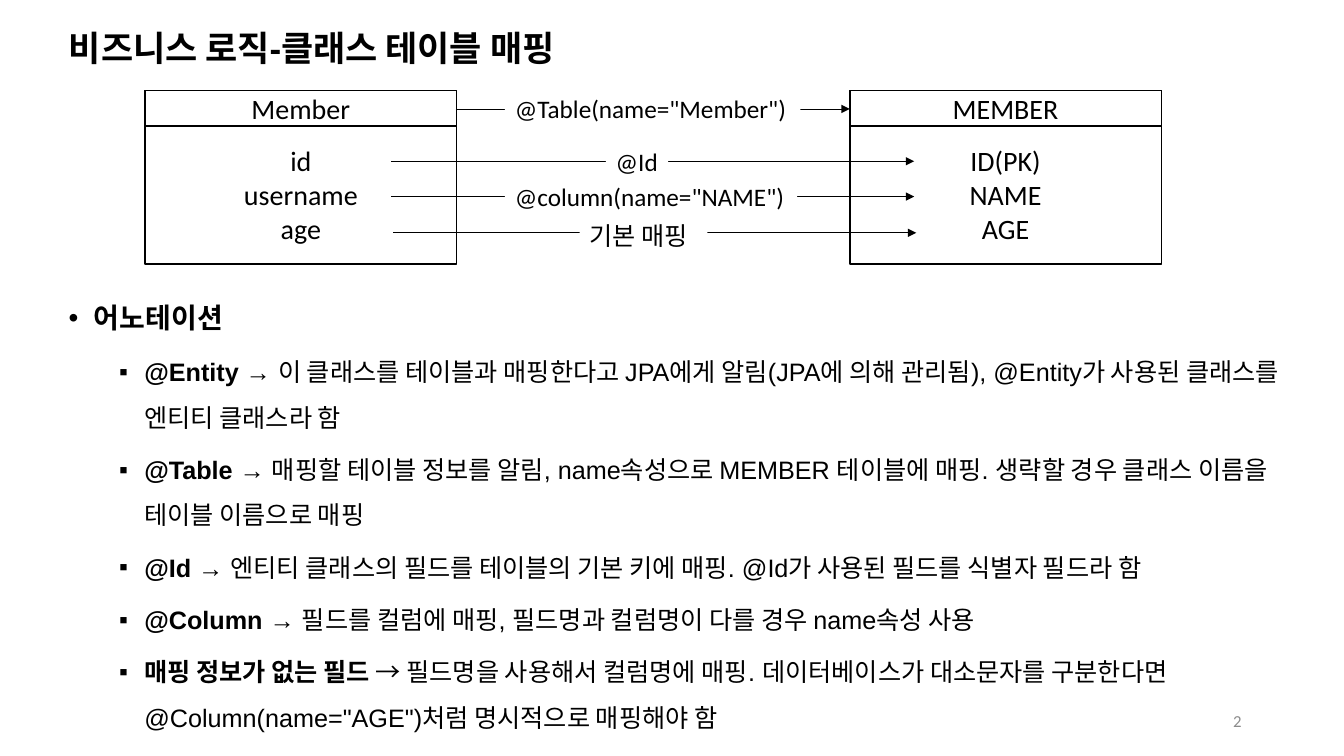
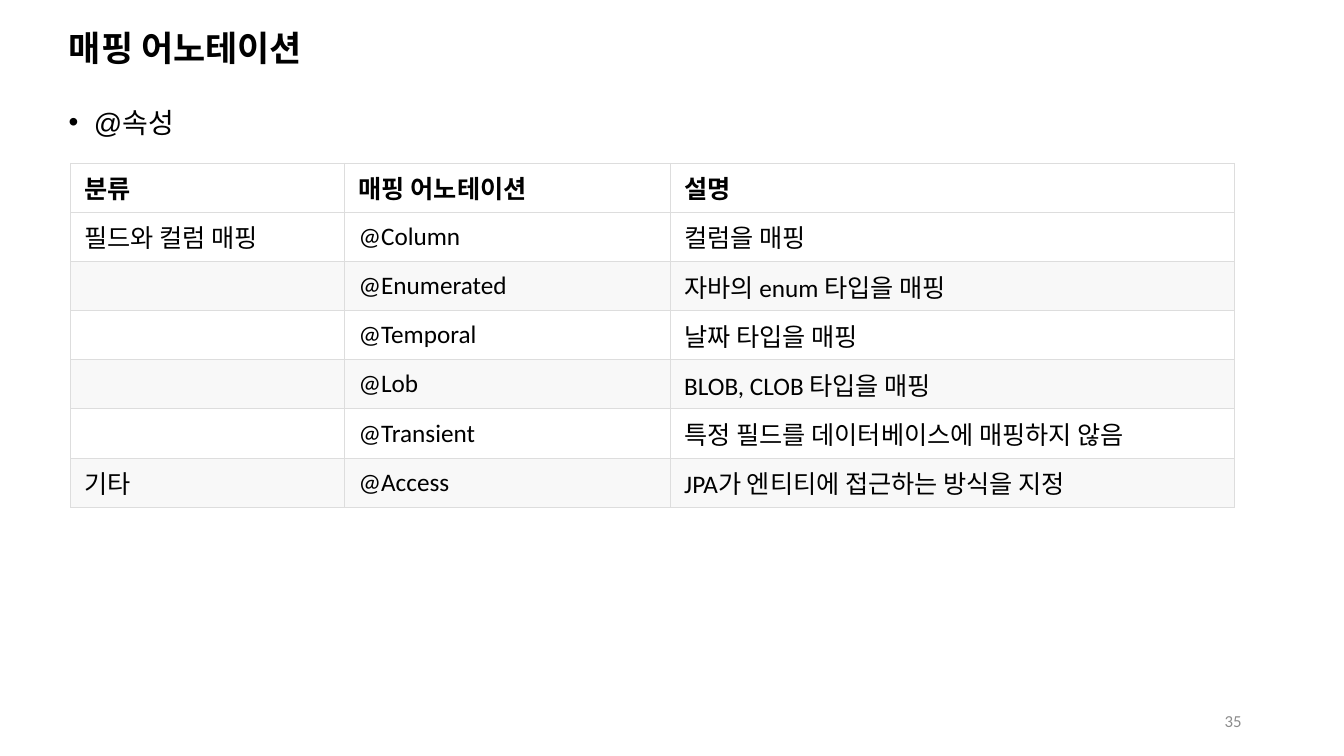
from lxml.etree import SubElement
from pptx import Presentation
from pptx.dml.color import RGBColor as RGB
from pptx.enum.shapes import MSO_CONNECTOR as LINE, MSO_SHAPE as SHAPE
from pptx.enum.text import MSO_ANCHOR as ANCHOR, MSO_AUTO_SIZE as AUTO, PP_ALIGN as ALIGN
from pptx.oxml.ns import qn
from pptx.util import Pt

HEX = {"ink": "000000", "paper": "FFFFFF", "band": "F8F8F8",
       "rule": "DDDDDD", "page": "8C8C8C"}
HEAD = {"name": "Arial", "size": Pt(25), "bold": True}
TOP = {"name": "Arial", "size": Pt(20)}
SUB = {"name": "Arial", "size": Pt(18)}
BOX = {"name": "Calibri", "size": Pt(20)}
TAG = {"name": "Calibri", "size": Pt(18)}
PAGE = {"name": "Calibri", "size": Pt(12)}

# Slide 1: class box and table box, joined by annotations
TITLE1 = "비즈니스 로직-클래스 테이블 매핑"
CARDS = [(103.7, "Member", ["id", "username", "age"]),
         (607, "MEMBER", ["ID(PK)", "NAME", "AGE"])]
# arrow start, end, y; label text, left, top, width
LINKS = [
    (325.6, 607, 77.8, '@Table(name="Member")', 360.7, 63.4, 211),
    (279.4, 653, 115.2, "@Id", 432.7, 100.8, 44.6),
    (279.4, 653, 140.4, '@column(name="NAME")', 360.7, 126, 208.8),
    (280.8, 654.5, 166.3, "기본 매핑", 414, 154.1, 91.4),
]
# level, bold text, plain text
NOTES = [
    (0, "어노테이션", ""),
    (1, "@Entity → ", "이 클래스를 테이블과 매핑한다고 JPA에게 알림(JPA에 의해 관리됨), "
     "@Entity가 사용된 클래스를 엔티티 클래스라 함"),
    (1, "@Table → ", "매핑할 테이블 정보를 알림, name속성으로 MEMBER 테이블에 매핑. "
     "생략할 경우 클래스 이름을 테이블 이름으로 매핑"),
    (1, "@Id → ", "엔티티 클래스의 필드를 테이블의 기본 키에 매핑. "
     "@Id가 사용된 필드를 식별자 필드라 함"),
    (1, "@Column → ", "필드를 컬럼에 매핑, 필드명과 컬럼명이 다를 경우 name속성 사용"),
    (1, "매핑 정보가 없는 필드", " → 필드명을 사용해서 컬럼명에 매핑. "
     "데이터베이스가 대소문자를 구분한다면 "
     '@Column(name="AGE")처럼 명시적으로 매핑해야 함'),
]

# Slide 2: table of annotations
TITLE2 = "매핑 어노테이션"
ATTRS = [(0, "", "@속성")]
ROWS = [
    ("분류", "매핑 어노테이션", "설명"),
    ("필드와 컬럼 매핑", "@Column", "컬럼을 매핑"),
    ("", "@Enumerated", "자바의 enum 타입을 매핑"),
    ("", "@Temporal", "날짜 타입을 매핑"),
    ("", "@Lob", "BLOB, CLOB 타입을 매핑"),
    ("", "@Transient", "특정 필드를 데이터베이스에 매핑하지 않음"),
    ("기타", "@Access", "JPA가 엔티티에 접근하는 방식을 지정"),
]
COLS = [195.8, 232.6, 403.2]
ROW_H = 35.1

CARD_Y, CARD_W, CARD_H, CAP_H = 64.8, 222.5, 123.8, 25.2
# marker, left margin, space before
LEVELS = [("•", 18, 10, TOP), ("▪", 54, 5, SUB)]


def put(obj, vals):
    for key, val in vals.items():
        setattr(obj, key, val)


def pts(*nums):
    return [Pt(n) for n in nums]


def paint(fill, name):
    fill.solid()
    fill.fore_color.rgb = RGB.from_string(HEX[name])


def write(para, text, font, ink="ink", **more):
    run = para.add_run()
    run.text = text
    put(run.font, {**font, **more})
    run.font.color.rgb = RGB.from_string(HEX[ink])


def start(deck, title, page):
    """Add a slide with its title and page number."""
    slide = deck.slides.add_slide(deck.slide_layouts[5])
    head = slide.shapes.title
    put(head, dict(zip(("left", "top", "width", "height"), pts(42, 13, 828, 27))))
    put(head.text_frame, {"auto_size": AUTO.NONE, "word_wrap": True,
                          "vertical_anchor": ANCHOR.MIDDLE})
    para = head.text_frame.paragraphs[0]
    put(para, {"alignment": ALIGN.LEFT, "line_spacing": 1.5})
    write(para, title, HEAD)
    foot = slide.shapes.add_textbox(*pts(678, 500.4, 216, 28.8)).text_frame
    put(foot, {"word_wrap": True, "vertical_anchor": ANCHOR.MIDDLE})
    foot.paragraphs[0].alignment = ALIGN.RIGHT
    write(foot.paragraphs[0], str(page), PAGE, "page")
    return slide


def bullets(slide, top, high, items):
    frame = slide.shapes.add_textbox(*pts(42, top, 892, high)).text_frame
    frame.word_wrap = True
    for i, (level, bold, plain) in enumerate(items):
        mark, left, gap, font = LEVELS[level]
        para = frame.paragraphs[0] if i == 0 else frame.add_paragraph()
        put(para, {"level": level, "line_spacing": 1.5,
                   "space_before": Pt(gap if i else 0)})
        prop = para._p.get_or_add_pPr()
        prop.set("marL", str(Pt(left)))
        prop.set("indent", str(-Pt(18)))
        SubElement(prop, qn("a:buFont"), typeface="Arial")
        SubElement(prop, qn("a:buChar"), char=mark)
        for text, heavy in ((bold, True), (plain, False)):
            if text:
                write(para, text, font, bold=heavy)


def card(slide, left, high, lines, inset=3.6):
    box = slide.shapes.add_shape(SHAPE.RECTANGLE, *pts(left, CARD_Y, CARD_W, high))
    box.shadow.inherit = False
    paint(box.fill, "paper")
    paint(box.line.fill, "ink")
    box.line.width = Pt(1)
    frame = box.text_frame
    put(frame, {"vertical_anchor": ANCHOR.MIDDLE, "margin_top": Pt(inset)})
    for i, text in enumerate(lines):
        para = frame.paragraphs[0] if i == 0 else frame.add_paragraph()
        para.alignment = ALIGN.CENTER
        write(para, text, BOX)


def link(slide, start_x, end_x, y, text, left, top, wide):
    """Draw an arrow with a label that covers its middle."""
    line = slide.shapes.add_connector(LINE.STRAIGHT, *pts(start_x, y, end_x, y))
    paint(line.line.fill, "ink")
    line.line.width = Pt(0.5)
    SubElement(line.line._get_or_add_ln(), qn("a:tailEnd"), type="triangle")
    SubElement(line._element.spPr, qn("a:effectLst"))
    tag = slide.shapes.add_textbox(*pts(left, top, wide, 28.8))
    paint(tag.fill, "paper")
    put(tag.text_frame, {"word_wrap": False, "auto_size": AUTO.SHAPE_TO_FIT_TEXT})
    write(tag.text_frame.paragraphs[0], text, TAG)


def border(cell):
    prop = cell._tc.get_or_add_tcPr()
    for side in ("lnL", "lnR", "lnT", "lnB"):
        edge = SubElement(prop, qn("a:" + side), w=str(Pt(0.75)))
        SubElement(SubElement(edge, qn("a:solidFill")), qn("a:srgbClr"),
                   val=HEX["rule"])


def grid(slide):
    table = slide.shapes.add_table(
        len(ROWS), len(COLS),
        *pts(50.4, 116.6, sum(COLS), ROW_H * len(ROWS))).table
    put(table, {"first_row": False, "horz_banding": False})
    for col, wide in zip(table.columns, COLS):
        col.width = Pt(wide)
    for r, row in enumerate(ROWS):
        table.rows[r].height = Pt(ROW_H)
        for c, text in enumerate(row):
            cell = table.cell(r, c)
            border(cell)
            paint(cell.fill, "band" if r and r % 2 == 0 else "paper")
            put(cell, {"vertical_anchor": ANCHOR.MIDDLE,
                       "margin_left": Pt(10), "margin_right": Pt(10),
                       "margin_top": Pt(4.3), "margin_bottom": Pt(4.3)})
            if text:
                write(cell.text_frame.paragraphs[0], text, TAG, bold=r == 0)


def main():
    deck = Presentation()
    put(deck, {"slide_width": Pt(960), "slide_height": Pt(540)})

    slide = start(deck, TITLE1, 2)
    bullets(slide, 199.4, 330, NOTES)
    for left, name, fields in CARDS:
        card(slide, left, CARD_H, fields, inset=CAP_H + 2.4)
        card(slide, left, CAP_H, [name])
    for item in LINKS:
        link(slide, *item)

    slide = start(deck, TITLE2, 35)
    bullets(slide, 59.8, 40, ATTRS)
    grid(slide)
    deck.save("out.pptx")


if __name__ == "__main__":
    main()
